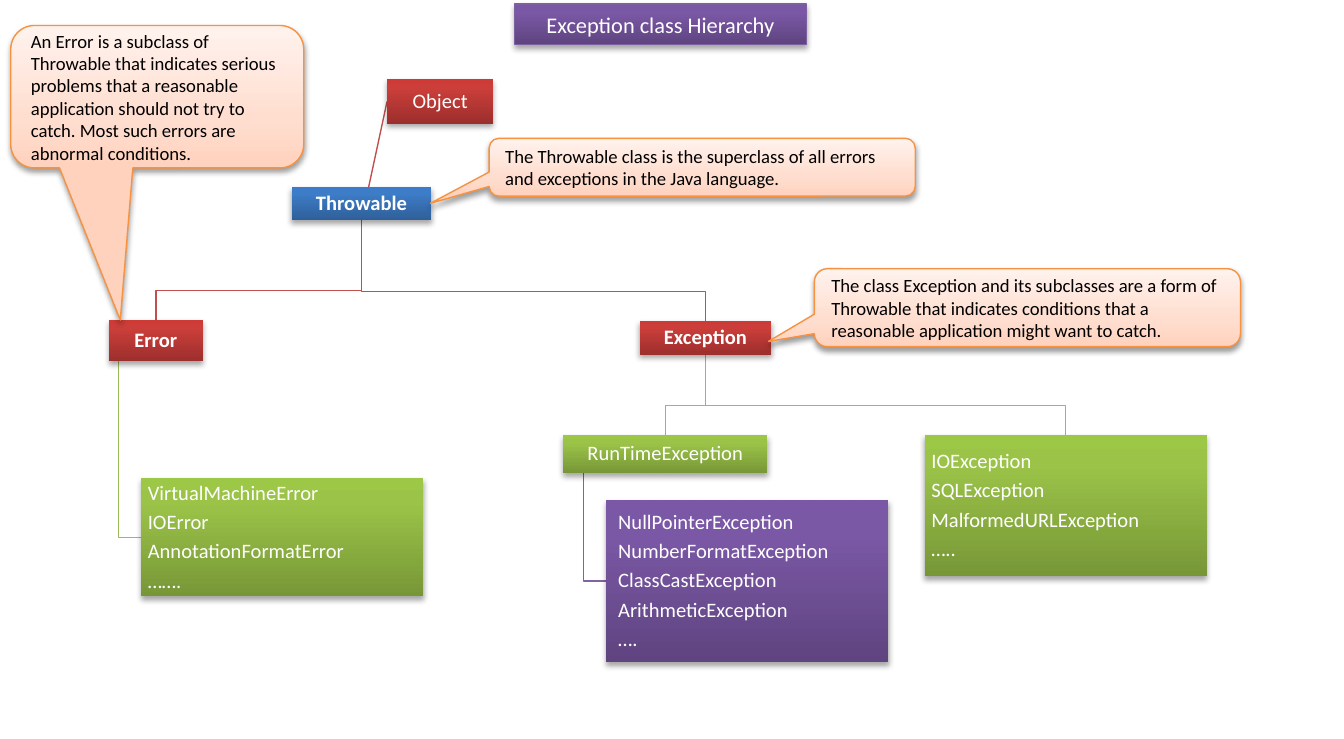
from lxml.etree import SubElement
from pptx import Presentation
from pptx.dml.color import RGBColor
from pptx.enum.shapes import MSO_CONNECTOR, MSO_SHAPE
from pptx.enum.text import MSO_ANCHOR, PP_ALIGN
from pptx.oxml.ns import qn
from pptx.util import Inches, Pt

COLORS = {"white": "FFFFFF", "black": "000000", "title edge": "7D60A0", "callout edge": "F69240",
          "red line": "C0504D", "green line": "9BBB59", "purple line": "8064A2"}
# Gradient stops run from the bottom of a shape to its top.
GRADIENTS = {
    "purple": ((0, "5F4480"), (80, "7B58A6"), (100, "7C57A8")),
    "blue": ((0, "2F5F99"), (80, "3D7CC7"), (100, "3A7CCB")),
    "red": ((0, "9C2F2D"), (80, "CB3E3A"), (100, "CE3B37")),
    "green": ((0, "779737"), (80, "9BC348"), (100, "9DC746")),
    "peach": ((0, "FFD2BD"), (35, "FFDED0"), (100, "FFF2ED")),
}

# Places are left, top, width and height in inches.
CLASSES = {
    "Object": ((2.88, 0.59, 0.79, 0.33), "red", False),
    "Throwable": ((2.17, 1.39, 1.04, 0.25), "blue", True),
    "Error": ((0.81, 2.38, 0.7, 0.31), "red", True),
    "Exception": ((4.76, 2.39, 0.98, 0.25), "red", True),
    "RunTimeException": ((4.19, 3.24, 1.52, 0.28), "green", False),
}
# Each list adds the left indent of its names.
LISTS = {
    "errors": ((1.05, 3.56, 2.1, 0.88), "green", 0.04,
               "VirtualMachineError\nIOError\nAnnotationFormatError\n……."),
    "checked": ((6.88, 3.24, 2.1, 1.05), "green", 0.04,
                "IOException\nSQLException\nMalformedURLException\n….."),
    "unchecked": ((4.51, 3.72, 2.1, 1.21), "purple", 0.08,
                  "NullPointerException\nNumberFormatException\nClassCastException\n"
                  "ArithmeticException\n…."),
}
CALLOUTS = (
    ((3.64, 1.03, 3.17, 0.43), (-0.638, 0.625),
     "The Throwable class is the superclass of all errors and exceptions in the Java language."),
    ((6.06, 2, 3.17, 0.58), (-0.608, 0.433),
     "The class Exception and its subclasses are a form of Throwable that indicates "
     "conditions that a reasonable application might want to catch."),
    ((0.08, 0.19, 2.18, 1.06), (-0.126, 1.568),
     "An Error is a subclass of Throwable that indicates serious problems that a reasonable "
     "application should not try to catch. Most such errors are abnormal conditions."),
)
BRANCHES = (("Throwable", "Error", "red line"), ("Throwable", "Exception", "red line"),
            ("Exception", "RunTimeException", "green line"), ("Exception", "checked", "green line"))
HANGERS = (("Error", "errors", "green line"), ("RunTimeException", "unchecked", "purple line"))
PLACES = {name: entry[0] for name, entry in (CLASSES | LISTS).items()}
RAIL_GAP = 0.22


def rgb(name):
    return RGBColor.from_string(COLORS[name])


def paint(shape, gradient, edge=None, shadow_alpha=35):
    """Give a shape its upward gradient, outline and soft shadow."""
    shape.fill.gradient()
    properties = shape._element.spPr
    stops = properties.find(f".//{qn('a:gsLst')}")
    for stop in list(stops):
        stops.remove(stop)
    for position, color in GRADIENTS[gradient]:
        stop = SubElement(stops, qn("a:gs"), pos=str(position * 1000))
        SubElement(stop, qn("a:srgbClr"), val=color)
    shape.fill.gradient_angle = 90
    if edge:
        shape.line.color.rgb = rgb(edge)
        shape.line.width = Pt(0.75)
    else:
        shape.line.fill.background()
    shape.shadow.inherit = False
    shadow = SubElement(properties.find(qn("a:effectLst")), qn("a:outerShdw"),
                        blurRad=str(Pt(3.1)), dist=str(Pt(1.8)), dir="5400000", rotWithShape="0")
    color = SubElement(shadow, qn("a:srgbClr"), val=COLORS["black"])
    SubElement(color, qn("a:alpha"), val=str(shadow_alpha * 1000))


def write(shape, text, size, color="white", align=PP_ALIGN.LEFT, bold=False):
    frame = shape.text_frame
    frame.text = text
    frame.word_wrap = True
    frame.vertical_anchor = MSO_ANCHOR.MIDDLE
    for para in frame.paragraphs:
        para.alignment = align
        for span in para.runs:
            span.font.name = "Calibri"
            span.font.size = Pt(size)
            span.font.bold = bold
            span.font.color.rgb = rgb(color)


def add_title(page):
    title = page.shapes.title
    title.left, title.top, title.width, title.height = map(Inches, (3.83, 0.03, 2.17, 0.3))
    paint(title, "purple", "title edge")
    write(title, "Exception class Hierarchy", 12, align=PP_ALIGN.CENTER)


def add_box(page, place, gradient, text, align, bold=False, indent=0):
    box = page.shapes.add_shape(MSO_SHAPE.RECTANGLE, *map(Inches, place))
    paint(box, gradient)
    write(box, text, 11, align=align, bold=bold)
    frame = box.text_frame
    frame.margin_top = frame.margin_right = frame.margin_bottom = Inches(0.01)
    frame.margin_left = Inches(0.01 + indent)
    for para in frame.paragraphs:
        para.line_spacing = 0.9
        para.space_after = Pt(3.85)
    return box


def add_callout(page, place, tip, text):
    callout = page.shapes.add_shape(MSO_SHAPE.ROUNDED_RECTANGULAR_CALLOUT, *map(Inches, place))
    callout.adjustments[0], callout.adjustments[1] = tip
    paint(callout, "peach", "callout edge", shadow_alpha=38)
    write(callout, text, 10, "black")


def add_polyline(page, points, color):
    start, *rest = [tuple(map(Inches, point)) for point in points]
    builder = page.shapes.build_freeform(*start)
    builder.add_line_segments(rest, close=False)
    line = builder.convert_to_shape()
    line.fill.background()
    line.line.color.rgb = rgb(color)
    line.line.width = Pt(0.75)
    line.shadow.inherit = False


def add_branch(page, parent, child, color):
    """Join a parent's bottom to a child's top by way of a level rail."""
    left, top, width, height = PLACES[parent]
    child_left, child_top, child_width, _ = PLACES[child]
    start, end = left + width / 2, child_left + child_width / 2
    rail = child_top - RAIL_GAP
    add_polyline(page, ((start, top + height), (start, rail), (end, rail), (end, child_top)), color)


def add_hanger(page, parent, child, color):
    """Drop from a tenth of the parent's width to the child's left side."""
    left, top, width, height = PLACES[parent]
    child_left, child_top, _, child_height = PLACES[child]
    stem, middle = left + width / 10, child_top + child_height / 2
    add_polyline(page, ((stem, top + height), (stem, middle), (child_left, middle)), color)


def add_straight_line(page, color):
    line = page.shapes.add_connector(MSO_CONNECTOR.STRAIGHT, 0, 0, 0, 0)
    line.line.color.rgb = rgb(color)
    line.line.width = Pt(0.75)
    SubElement(line._element.spPr, qn("a:effectLst"))
    return line


def main():
    deck = Presentation()
    deck.slide_width, deck.slide_height = Inches(10), Inches(5.5)
    page = deck.slides.add_slide(deck.slide_layouts[5])
    add_title(page)

    root_line = add_straight_line(page, "red line")
    for hanger in HANGERS:
        add_hanger(page, *hanger)
    for branch in BRANCHES:
        add_branch(page, *branch)

    boxes = {name: add_box(page, place, gradient, name, PP_ALIGN.CENTER, bold)
             for name, (place, gradient, bold) in CLASSES.items()}
    root_line.begin_connect(boxes["Throwable"], 2)
    root_line.end_connect(boxes["Object"], 1)
    for place, gradient, indent, names in LISTS.values():
        add_box(page, place, gradient, names, PP_ALIGN.LEFT, indent=indent)
    for callout in CALLOUTS:
        add_callout(page, *callout)
    deck.save("out.pptx")


if __name__ == "__main__":
    main()
